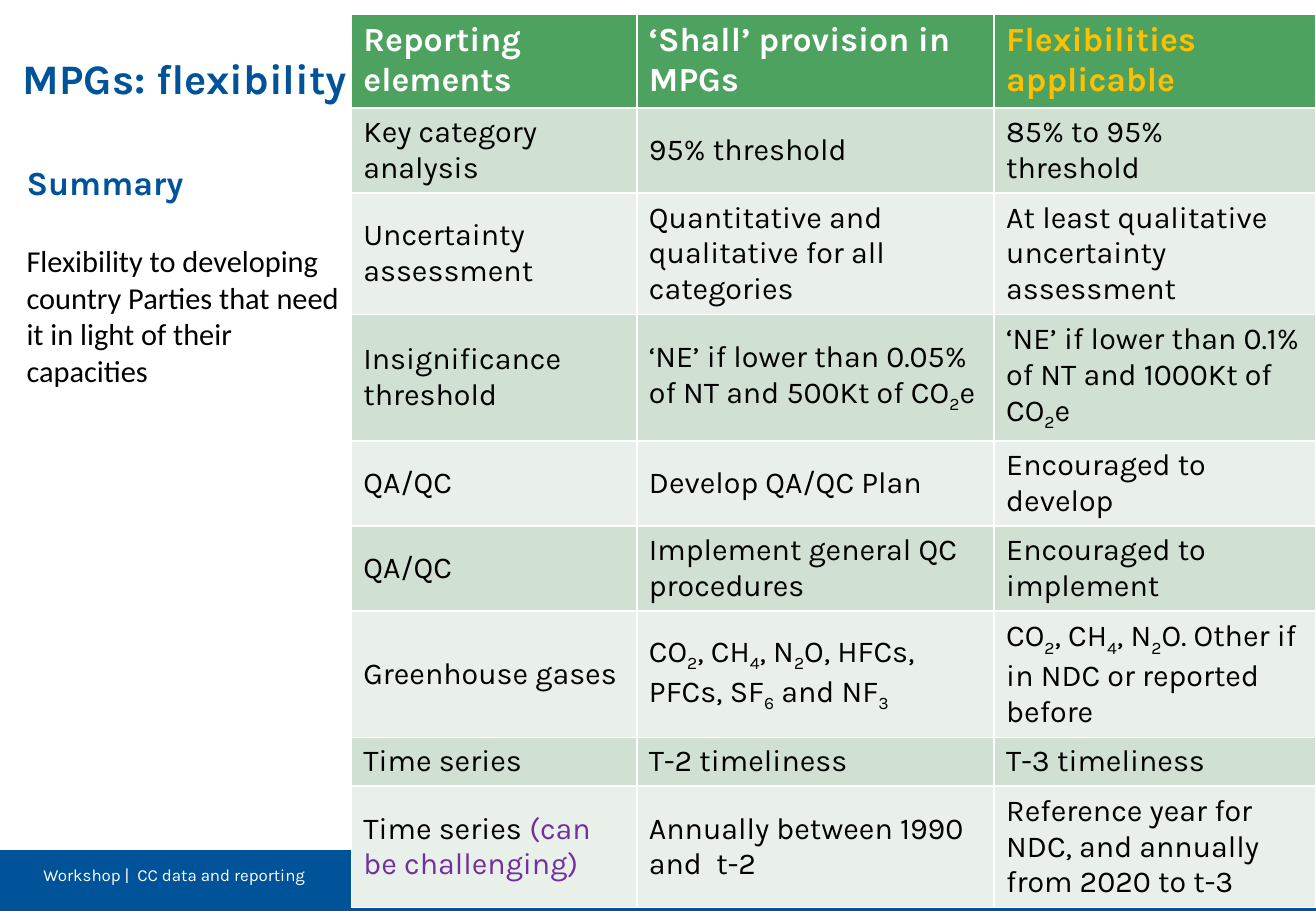
from pptx import Presentation
from pptx.dml.color import RGBColor
from pptx.enum.shapes import MSO_SHAPE as Shape
from pptx.enum.text import MSO_ANCHOR as Anchor
from pptx.util import Inches, Pt

WHITE = RGBColor(0xFF, 0xFF, 0xFF)
BLACK = RGBColor(0, 0, 0)
BLUE = RGBColor(0x00, 0x53, 0x99)
BAR_BLUE = RGBColor(0x00, 0x53, 0x98)
GREEN = RGBColor(0x4E, 0xA2, 0x60)
BANDS = (RGBColor(0xD0, 0xE0, 0xD2), RGBColor(0xE9, 0xF0, 0xEA))
AMBER = RGBColor(0xFF, 0xC0, 0x00)
PURPLE = RGBColor(0x70, 0x30, 0xA0)

HEADINGS = ["Reporting elements", "‘Shall’ provision in MPGs", "Flexibilities applicable"]
# Parts between bars stand out: digits as subscripts, words in purple.
# Each row starts with the number of text lines that it holds.
PROVISIONS = [
    (2, "Key category analysis", "95% threshold", "85% to 95% threshold"),
    (3, "Uncertainty assessment", "Quantitative and qualitative for all categories",
     "At least qualitative uncertainty assessment"),
    (3, "Insignificance threshold", "‘NE’ if lower than 0.05% of NT and 500Kt of CO|2|e",
     "‘NE’ if lower than 0.1% of NT and 1000Kt of CO|2|e"),
    (2, "QA/QC", "Develop QA/QC Plan", "Encouraged to develop"),
    (2, "QA/QC", "Implement general QC procedures", "Encouraged to implement"),
    (3, "Greenhouse gases", "CO|2|, CH|4|, N|2|O, HFCs,\nPFCs, SF|6| and NF|3|",
     "CO|2|, CH|4|, N|2|O. Other if in NDC or reported before"),
    (1, "Time series", "T-2 timeliness", "T-3 timeliness"),
    (3, "Time series |(can be challenging)|", "Annually between 1990 and  t-2",
     "Reference year for NDC, and annually from 2020 to t-3"),
]
COLUMN_SHARES = (21.7, 27.15, 24.46)
HEADER_SHARE = 8.8
LINE_SHARES = {1: 4.67, 2: 8, 3: 11.47}


class Page:
    """Current slide; every length is a percentage of the slide's size."""

    def __init__(self, deck):
        self.deck = deck
        self.shapes = deck.slides.add_slide(deck.slide_layouts[6]).shapes

    def across(self, share):
        return round(self.deck.slide_width * share / 100)

    def down(self, share):
        return round(self.deck.slide_height * share / 100)

    def area(self, left, top, width, height):
        return self.across(left), self.down(top), self.across(width), self.down(height)

    def style(self, span, size, color, bold=False, font="Karla"):
        span.font.name, span.font.size, span.font.bold = font, Pt(size), bold
        span.font.color.rgb = color

    def bar(self, place, color):
        bar = self.shapes.add_shape(Shape.RECTANGLE, *self.area(*place))
        bar.shadow.inherit = False
        bar.fill.solid()
        bar.fill.fore_color.rgb = color
        bar.line.fill.background()

    def text(self, place, text, *looks, anchor=Anchor.TOP):
        """Add a text box with one look (size, color, bold, font) per paragraph."""
        box = self.shapes.add_textbox(*self.area(*place))
        frame = box.text_frame
        frame.word_wrap = True
        frame.vertical_anchor = anchor
        frame.text = text
        for para, look in zip(frame.paragraphs, looks):
            self.style(para.runs[0], *look)
        return frame

    def cell(self, cell, text, fill, size, color, bold=False):
        cell.fill.solid()
        cell.fill.fore_color.rgb = fill
        cell.text_frame.text = text
        for para, line in zip(cell.text_frame.paragraphs, text.split("\n")):
            para.text = ""
            for index, part in enumerate(line.split("|")):
                if not part:
                    continue
                span = para.add_run()
                span.text = part
                accent = index % 2 == 1
                subscript = accent and part.isdigit()
                self.style(span, size, PURPLE if accent and not subscript else color, bold)
                if subscript:
                    span.font._element.set("baseline", "-25000")

    def table(self, place, headings, rows):
        frame = self.shapes.add_table(len(rows) + 1, len(headings), *self.area(*place))
        table = frame.table
        for column, share in zip(table.columns, COLUMN_SHARES):
            column.width = self.across(share)
        table.rows[0].height = self.down(HEADER_SHARE)
        for column, heading in enumerate(headings):
            color = AMBER if column == len(headings) - 1 else WHITE
            self.cell(table.cell(0, column), heading, GREEN, 20, color, True)
        for number, (lines, *texts) in enumerate(rows, 1):
            table.rows[number].height = self.down(LINE_SHARES[lines])
            for column, text in enumerate(texts):
                cell = table.cell(number, column)
                cell.vertical_anchor = Anchor.MIDDLE
                self.cell(cell, text, BANDS[(number - 1) % 2], 18, BLACK)
        frame.height = self.down(place[3])


def main():
    deck = Presentation()
    deck.slide_width, deck.slide_height = Inches(10.83), Inches(7.5)
    page = Page(deck)
    page.bar((0, 93.33, 100, 6.67), BAR_BLUE)
    page.text((2.4, 94.27, 50, 3.6), "Workshop |  CC data and reporting",
              (10, WHITE), anchor=Anchor.MIDDLE)
    page.text((0.83, 5.07, 31.58, 8.53), "MPGs: flexibility", (24.9, BLUE, True))
    summary = page.text(
        (1.11, 17.07, 25.67, 26.53),
        "Summary\nFlexibility to developing country Parties that need it in light of their capacities",
        (20, BLUE, True), (18, BLACK, False, "Calibri"))
    summary.paragraphs[1].space_before = Pt(24)
    page.table((26.69, 1.6, 73.31, 96.93), HEADINGS, PROVISIONS)
    deck.save("out.pptx")


if __name__ == "__main__":
    main()
